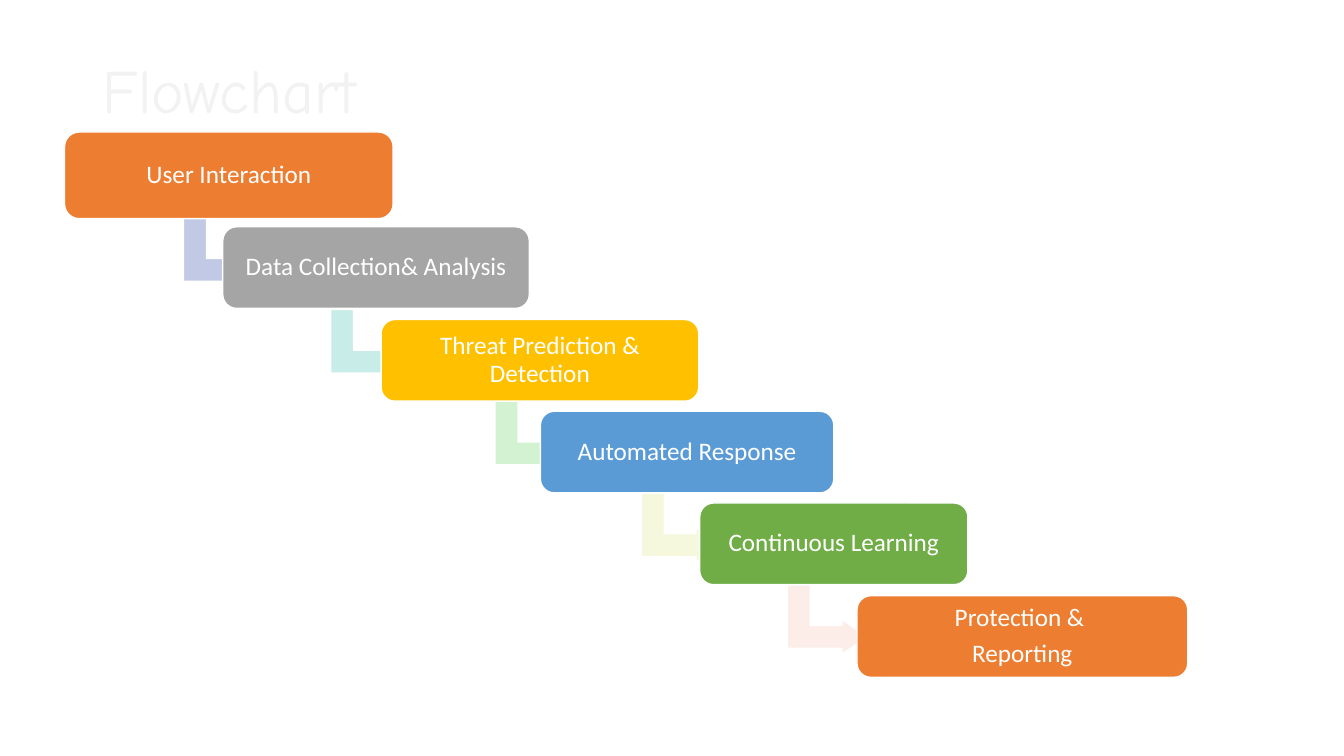
"""Build the flowchart slide: six steps descending in a staircase."""
from dataclasses import dataclass

from pptx import Presentation
from pptx.dml.color import RGBColor
from pptx.enum.shapes import MSO_SHAPE
from pptx.enum.text import MSO_ANCHOR, PP_ALIGN
from pptx.util import Emu, Pt

ROUND_RECT = MSO_SHAPE.ROUNDED_RECTANGLE
BENT_ARROW = MSO_SHAPE.BENT_UP_ARROW
MIDDLE = MSO_ANCHOR.MIDDLE
LEFT, CENTER = PP_ALIGN.LEFT, PP_ALIGN.CENTER

PX = 9144
SLIDE_W, SLIDE_H = 1333, 750
ARROW_W, ARROW_H = 69, 79
ARROW_TOP, ARROW_PITCH = 211, 91


@dataclass(frozen=True)
class Theme:
    """Colours, fonts and type sizes of the slide."""
    white: str = "FFFFFF"
    title: str = "F2F2F2"
    orange: str = "ED7D31"
    gray: str = "A5A5A5"
    gold: str = "FFC000"
    blue: str = "5B9BD5"
    green: str = "70AD47"
    arrows: tuple = ("C1C9E4", "C8ECE8", "D2F2D2", "F5F8DC", "FCEDE8")
    title_font: str = "Comic Neue"
    body_font: str = "Calibri"
    title_size: int = 44
    body_size: int = 18
    space_after: float = 6.3


class FlowSlide:
    """Holds the theme and the current slide."""

    def __init__(self, s, theme):
        """Keep the slide and its theme."""
        self.s = s
        self.theme = theme

    def box(self, *lengths):
        """Turn px lengths into EMU."""
        return [Emu(n * PX) for n in lengths]

    def text(self, tf, lines, font, size, color, align, after=0):
        """Write one paragraph per line into a middle-anchored frame."""
        tf.word_wrap = True
        tf.vertical_anchor = MIDDLE
        for i, line in enumerate(lines):
            p = tf.add_paragraph() if i else tf.paragraphs[0]
            p.alignment = align
            p.line_spacing = 0.9
            p.space_after = Pt(after)
            r = p.add_run()
            r.text = line
            r.font.name = font
            r.font.size = Pt(size)
            r.font.color.rgb = RGBColor.from_string(color)

    def shape(self, kind, at, fill, adjustments):
        """Add a filled shape with a thin white outline."""
        sp = self.s.shapes.add_shape(kind, *self.box(*at))
        sp.shadow.inherit = False
        sp.fill.solid()
        sp.fill.fore_color.rgb = RGBColor.from_string(fill)
        sp.line.color.rgb = RGBColor.from_string(self.theme.white)
        sp.line.width = Pt(1)
        for i, value in enumerate(adjustments):
            sp.adjustments[i] = value
        return sp

    def title(self, text, at):
        """Add the slide title."""
        t = self.theme
        tf = self.s.shapes.add_textbox(*self.box(*at)).text_frame
        self.text(tf, [text], t.title_font, t.title_size, t.title, LEFT)

    def arrow(self, left, top, fill):
        """Add a bent arrow leading down and right to the next step."""
        sp = self.shape(BENT_ARROW, (left, top, ARROW_W, ARROW_H), fill,
                        (0.33, 0.25, 0.36))
        sp.rotation = 90

    def step(self, lines, at, fill):
        """Add a rounded step with its centred label."""
        t = self.theme
        tf = self.shape(ROUND_RECT, at, fill, (0.17,)).text_frame
        tf.margin_left, tf.margin_top, tf.margin_right, tf.margin_bottom = \
            self.box(11, 11, 11, 11)
        self.text(tf, lines, t.body_font, t.body_size, t.white, CENTER,
                  t.space_after)


def main():
    """Build and save the slide."""
    t = Theme()
    prs = Presentation()
    prs.slide_width, prs.slide_height = Emu(SLIDE_W * PX), Emu(SLIDE_H * PX)
    flow = FlowSlide(prs.slides.add_slide(prs.slide_layouts[6]), t)
    flow.title("Flowchart", (92, 0, 1150, 185))

    steps = [
        (["User Interaction"], (64, 131, 326, 86), t.orange),
        (["Data Collection& Analysis"], (221, 225, 304, 81), t.gray),
        (["Threat Prediction & Detection"], (378, 317, 315, 81), t.gold),
        (["Automated Response"], (536, 408, 291, 81), t.blue),
        (["Continuous Learning"], (694, 499, 266, 81), t.green),
        (["Protection & ", "Reporting"], (850, 591, 328, 81), t.orange),
    ]
    arrow_lefts = (187, 333, 496, 641, 786)
    for i, (lines, at, fill) in enumerate(steps):
        if i < len(arrow_lefts):
            flow.arrow(arrow_lefts[i], ARROW_TOP + i * ARROW_PITCH, t.arrows[i])
        flow.step(lines, at, fill)

    prs.save("out.pptx")


if __name__ == "__main__":
    main()
